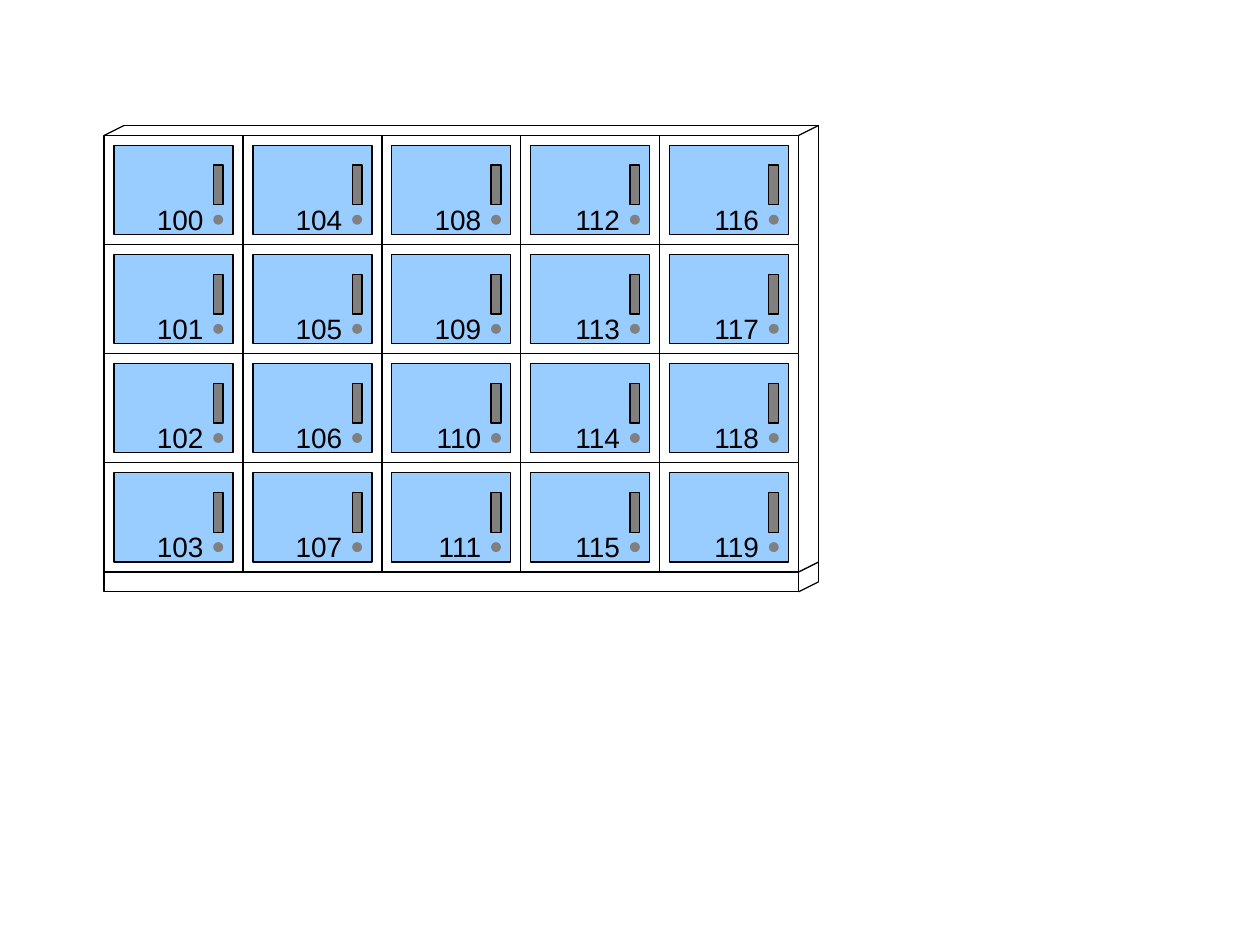
from pptx import Presentation
from pptx.dml.color import RGBColor
from pptx.enum.shapes import MSO_CONNECTOR, MSO_SHAPE
from pptx.enum.text import MSO_AUTO_SIZE, PP_ALIGN
from pptx.oxml.ns import qn
from pptx.util import Inches, Mm, Pt

RECT, OVAL = MSO_SHAPE.RECTANGLE, MSO_SHAPE.OVAL
STRAIGHT = MSO_CONNECTOR.STRAIGHT
FIT, RIGHT = MSO_AUTO_SIZE.SHAPE_TO_FIT_TEXT, PP_ALIGN.RIGHT
BLACK, WHITE, BLUE, GREY = "000000", "FFFFFF", "99CCFF", "808080"

# Cabinet grid, in millimetres
LEFT, TOP = 21, 27.3
COLS, ROWS = 5, 4
CELL_W, CELL_H = 28, 22
BASE = 4
SIDE, RISE = 4, 2
FIRST = 100


def color(code):
    return RGBColor.from_string(code)


def stroke(line):
    line.color.rgb = color(BLACK)
    line.width = Pt(0.75)


def add_block(group, kind, x, y, w, h, fill, edge=True):
    block = group.shapes.add_shape(kind, Mm(x), Mm(y), Mm(w), Mm(h))
    block.shadow.inherit = False
    block.fill.solid()
    block.fill.fore_color.rgb = color(fill)
    if edge:
        stroke(block.line)
    else:
        block.line.fill.background()


def add_label(group, x, y, w, h, text):
    box = group.shapes.add_textbox(Mm(x), Mm(y), Mm(w), Mm(h))
    frame = box.text_frame
    frame.margin_left = frame.margin_right = 0
    frame.margin_top = frame.margin_bottom = 0
    frame.word_wrap = False
    frame.auto_size = FIT
    frame.text = text
    para = frame.paragraphs[0]
    para.alignment = RIGHT
    font = para.runs[0].font
    font.name, font.size = "Arial", Pt(16)
    font.color.rgb = color(BLACK)


def add_edge(group, x1, y1, x2, y2):
    edge = group.shapes.add_connector(STRAIGHT, Mm(x1), Mm(y1), Mm(x2), Mm(y2))
    stroke(edge.line)
    props = edge._element.spPr
    props.append(props.makeelement(qn("a:effectLst"), {}))


def add_locker(slide, x, y, number):
    group = slide.shapes.add_group_shape()
    add_block(group, RECT, x, y, CELL_W, CELL_H, WHITE)
    # Door, handle and lock
    add_block(group, RECT, x + 2, y + 2, CELL_W - 4, CELL_H - 4, BLUE)
    add_block(group, RECT, x + 22, y + 6, 2, 8, GREY)
    add_block(group, OVAL, x + 22, y + 16, 2, 2, GREY, edge=False)
    add_label(group, x + 10.6, y + 13.5, 9.4, 6.9, str(number))


def add_frame(slide):
    group = slide.shapes.add_group_shape()
    right, floor = LEFT + COLS * CELL_W, TOP + ROWS * CELL_H
    foot = floor + BASE
    add_block(group, RECT, LEFT, floor, right - LEFT, BASE, WHITE)
    # Back edges
    back, top = right + SIDE, TOP - RISE
    add_edge(group, LEFT + SIDE, top, back, top)
    add_edge(group, back, top, back, foot - RISE)
    # Slanted edges
    for x, y in ((LEFT, TOP), (right, TOP), (right, floor), (right, foot)):
        add_edge(group, x, y, x + SIDE, y - RISE)


def main():
    deck = Presentation()
    deck.slide_width, deck.slide_height = Inches(10), Inches(7.5)
    slide = deck.slides.add_slide(deck.slide_layouts[6])
    # Lockers are numbered down each column
    for col in range(COLS):
        for row in range(ROWS):
            add_locker(slide, LEFT + col * CELL_W, TOP + row * CELL_H,
                       FIRST + col * ROWS + row)
    add_frame(slide)
    deck.save("out.pptx")


if __name__ == "__main__":
    main()
